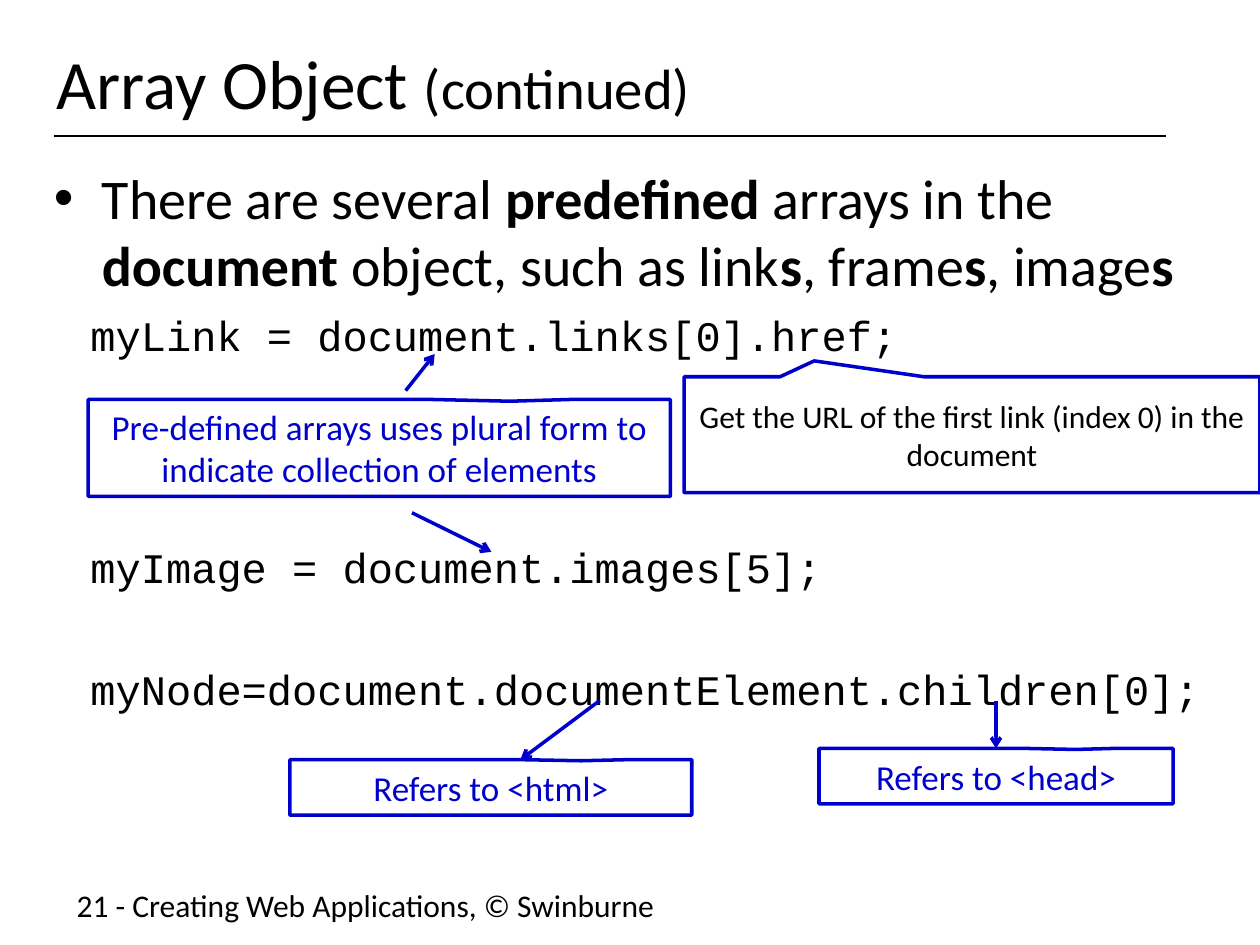
from lxml.etree import SubElement
from pptx import Presentation
from pptx.dml.color import RGBColor as RGB
from pptx.enum.shapes import MSO_CONNECTOR as Connector, MSO_SHAPE as Shape
from pptx.enum.text import MSO_ANCHOR as Anchor, PP_ALIGN as Align
from pptx.oxml.ns import qn
from pptx.util import Inches, Pt

COLORS = {"ink": "000000", "note": "0000CC", "paper": "FFFFFF"}
COLUMNS = 100

deck = Presentation()
deck.slide_width, deck.slide_height = Inches(10), Inches(7.5)
slide = deck.slides.add_slide(deck.slide_layouts[6])
CELL = deck.slide_width // COLUMNS


def add_line(start, end, color, width, arrow=True):
    ends = [round(v * CELL) for v in (*start, *end)]
    line = slide.shapes.add_connector(Connector.STRAIGHT, *ends)
    line.line.color.rgb = RGB.from_string(COLORS[color])
    line.line.width = Pt(width)
    if arrow:
        SubElement(line.line._get_or_add_ln(), qn("a:tailEnd"), type="arrow")
    SubElement(line._element.spPr, qn("a:effectLst"))
    return line


def write(paragraph, runs, size, color="ink", font="Calibri"):
    for text, bold in runs:
        run = paragraph.add_run()
        run.text = text
        if bold:
            run.font.bold = True
    paragraph.font.size = Pt(size)
    paragraph.font.name = font
    paragraph.font.color.rgb = RGB.from_string(COLORS[color])


add_line((4.3, 10.8), (92.5, 10.8), "ink", 0.75, arrow=False)

frames = []
for area in ((5.1, 69.8, 55.1, 3.9), (3.5, 3, 91.5, 6.9), (3.3, 12.5, 95, 54.6)):
    frame = slide.shapes.add_textbox(*(round(v * CELL) for v in area)).text_frame
    frame.word_wrap = True
    frames.append(frame)
footer, title, body = frames

write(footer.paragraphs[0], [("21 - Creating Web Applications, © Swinburne", False)], 18)

title.vertical_anchor = Anchor.MIDDLE
heading = title.paragraphs[0]
write(heading, [("Array Object ", False), ("(continued)", False)], 39.6)
heading.runs[1].font.size = Pt(32.4)

intro = body.paragraphs[0]
props = intro._p.get_or_add_pPr()
props.set("marL", str(Inches(0.38)))
props.set("indent", str(-Inches(0.38)))
SubElement(props, qn("a:buFont"), typeface="Arial")
SubElement(props, qn("a:buChar"), char="•")
write(intro, [
    ("There are several ", False), ("predefined", True), (" arrays in the ", False),
    ("document", True), (" object, such as link", False), ("s", True),
    (", frame", False), ("s", True), (", image", False), ("s", True),
], 32)

for code, gap in (
    ("myLink = document.links[0].href;", 6.5),
    ("myImage = document.images[5];", 103.7),
    ("myNode=document.documentElement.children[0];", 40.8),
):
    statement = body.add_paragraph()
    statement._p.get_or_add_pPr().set("marL", str(Inches(0.29)))
    statement.space_before = Pt(gap)
    write(statement, [(code, False)], 24, font="Courier New")

FLAT = (0.225, -0.481)
callouts = []
for text, area, tip, size, color, filled in (
    ("Pre-defined arrays uses plural form to indicate collection of elements",
     (7, 31.7, 46.2, 7.7), FLAT, 20, "note", True),
    ("Get the URL of the first link (index 0) in the document",
     (54.3, 29.9, 45.7, 9.2), (-0.274, -0.637), 18, "ink", False),
    ("Refers to <html>", (23, 60.3, 31.9, 4.4), FLAT, 20, "note", True),
    ("Refers to <head>", (65, 59.4, 28.1, 4.4), FLAT, 20, "note", True),
):
    callout = slide.shapes.add_shape(
        Shape.RECTANGULAR_CALLOUT, *(round(v * CELL) for v in area))
    callout.adjustments[0], callout.adjustments[1] = tip
    callout.shadow.inherit = False
    if filled:
        callout.fill.solid()
        callout.fill.fore_color.rgb = RGB.from_string(COLORS["paper"])
    else:
        callout.fill.background()
    callout.line.color.rgb = RGB.from_string(COLORS["note"])
    callout.line.width = Pt(2)
    callout.text_frame.word_wrap = True
    callout.text_frame.vertical_anchor = Anchor.MIDDLE
    label = callout.text_frame.paragraphs[0]
    label.alignment = Align.CENTER
    write(label, [(text, False)], size, color)
    callouts.append(callout)

for start, end in (
    ((32.7, 40.7), (39, 43.8)),
    ((32.2, 31), (34.5, 28.1)),
    ((47.6, 55.6), (41.3, 60.3)),
):
    add_line(start, end, "note", 2)
head_arrow = add_line((79.05, 55.6), (79.05, 59.4), "note", 2)
head_arrow.end_connect(callouts[-1], 0)

deck.save("out.pptx")
